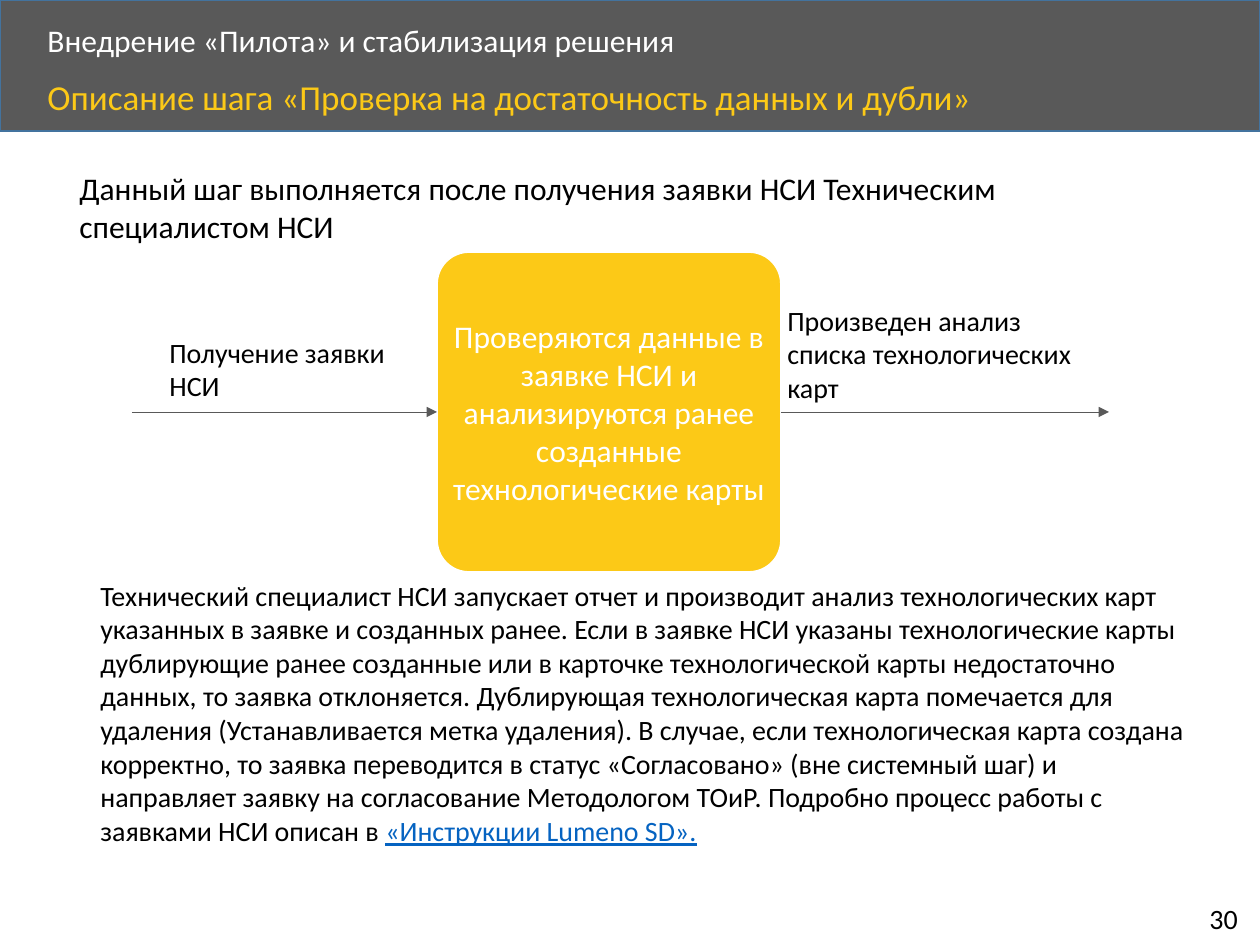
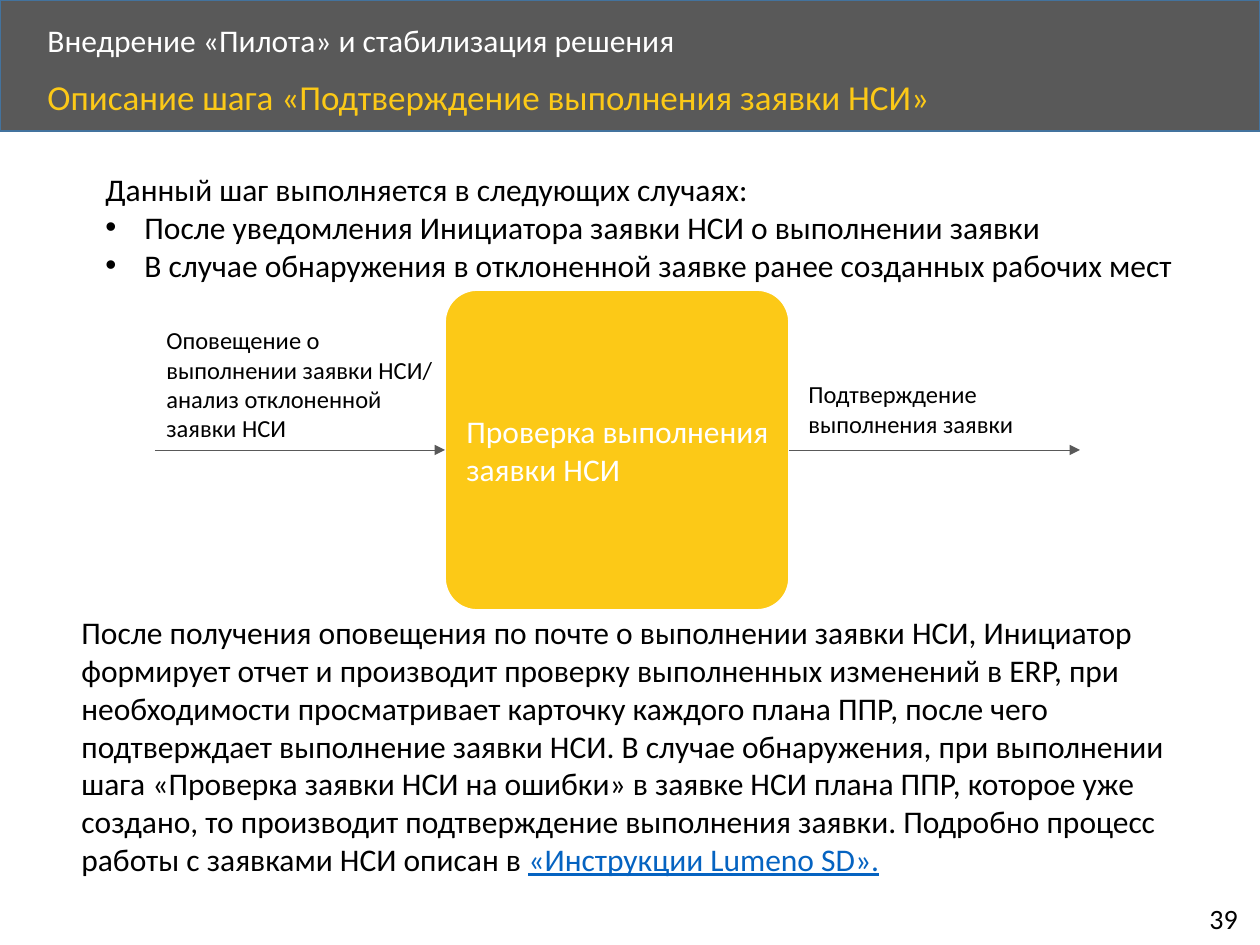
from dataclasses import dataclass

from lxml.etree import SubElement
from pptx import Presentation
from pptx.dml.color import RGBColor as Rgb
from pptx.enum.shapes import MSO_CONNECTOR as Conn, MSO_SHAPE as Shape
from pptx.enum.text import MSO_ANCHOR as Anchor, PP_ALIGN as Align
from pptx.oxml.ns import qn
from pptx.util import Pt


@dataclass(frozen=True)
class Theme:
    font: str = "Calibri"
    white: str = "FFFFFF"
    black: str = "000000"
    grey: str = "595959"
    gold: str = "FCC917"
    edge: str = "43739E"
    link: str = "0563C1"
    title: int = 20
    large: int = 18
    body: int = 16
    small: int = 14


T = Theme()
WIDE, HIGH = 1260, 945
BAND = 131
CARD = 344
GUIDE = "«Инструкции Lumeno SD»."


def px(n):
    return round(n * 914400 / 126)


def emu(*nums):
    return [px(n) for n in nums]


def add_run(par, words, size, color, line=False):
    run = par.add_run()
    run.text = words
    font = run.font
    font.name, font.size = T.font, Pt(size)
    font.color.rgb = Rgb.from_string(color)
    if line:
        font.underline = True


def add_dot(par):
    props = par._p.get_or_add_pPr()
    props.set("marL", str(px(39)))
    props.set("indent", str(px(-39)))
    SubElement(props, qn("a:buFont"), typeface="Arial")
    SubElement(props, qn("a:buChar"), char="•")


def add_text(slide, box, words, size=T.body, color=T.black, link="",
             dots=(), anchor=Anchor.TOP, wrap=True, space=None):
    frame = slide.shapes.add_textbox(*emu(*box)).text_frame
    frame.word_wrap, frame.vertical_anchor = wrap, anchor
    par = frame.paragraphs[0]
    if space:
        par.line_spacing = space
    add_run(par, words, size, color)
    if link:
        add_run(par, link, size, T.link, True)
    for dot in dots:
        par = frame.add_paragraph()
        add_dot(par)
        add_run(par, dot, size, color)


def add_block(slide, kind, box, fill, edge):
    block = slide.shapes.add_shape(kind, *emu(*box))
    block.shadow.inherit = False
    block.fill.solid()
    block.fill.fore_color.rgb = Rgb.from_string(fill)
    block.line.color.rgb = Rgb.from_string(edge)
    block.line.width = Pt(1)
    return block


def add_arrow(slide, left, right, y):
    line = slide.shapes.add_connector(Conn.STRAIGHT, *emu(left, y, right, y))
    line.line.color.rgb = Rgb.from_string(T.grey)
    line.line.width = Pt(0.5)
    SubElement(line.line._get_or_add_ln(), qn("a:tailEnd"), type="triangle")
    SubElement(line._element.spPr, qn("a:effectLst"))


# Band, section name, step title and page number
def add_frame(slide, title, page):
    add_block(slide, Shape.RECTANGLE, (0, 0, WIDE, BAND), T.grey, T.edge)
    add_text(slide, (35, 18, 1017, 48), "Внедрение «Пилота» и стабилизация решения",
             T.large, T.white, anchor=Anchor.MIDDLE, space=0.9)
    add_text(slide, (35, 74, 1092, 57), title, T.title, T.gold, space=0.9)
    add_text(slide, (WIDE - 63, HIGH - 50, 58, 47), page, wrap=False)


# Gold card with an arrow in and an arrow out
def add_flow(slide, box, lead, words, align, pad):
    x, y, w, h = box
    left, mid = x + lead, y + h // 2
    card = add_block(slide, Shape.ROUNDED_RECTANGLE, (left, y, CARD, h),
                     T.gold, T.white)
    card.adjustments[0] = 0.1
    frame = card.text_frame
    frame.word_wrap, frame.vertical_anchor = True, Anchor.MIDDLE
    frame.margin_left, frame.margin_right = emu(pad, 3)
    par = frame.paragraphs[0]
    par.alignment = align
    add_run(par, words, T.large, T.white)
    add_arrow(slide, x, left, mid)
    add_arrow(slide, left + CARD, x + w, mid)


# Labels over the arrows, placed from the flow's corner
def add_labels(slide, box, labels, size):
    for (dx, dy, w, h), words in labels:
        add_text(slide, (box[0] + dx, box[1] + dy, w, h), words, size)


def check_step(deck):
    slide = deck.slides.add_slide(deck.slide_layouts[6])
    add_frame(slide, "Описание шага «Проверка на достаточность данных и дубли»", "30")
    add_text(slide, (67, 163, 1119, 89),
             "Данный шаг выполняется после получения заявки НСИ Техническим "
             "специалистом НСИ", T.large)
    box = (132, 252, 977, 320)
    add_flow(slide, box, 305,
             "Проверяются данные в заявке НСИ и анализируются ранее созданные "
             "технологические карты", Align.CENTER, 3)
    add_labels(slide, box, [
        ((25, 77, 294, 81), "Получение заявки НСИ"),
        ((643, 45, 311, 115), "Произведен анализ списка технологических карт"),
    ], T.body)
    add_text(slide, (88, 572, 1119, 285),
             "Технический специалист НСИ запускает отчет и производит анализ "
             "технологических карт указанных в заявке и созданных ранее. Если в "
             "заявке НСИ указаны технологические карты дублирующие ранее созданные "
             "или в карточке технологической карты недостаточно данных, то заявка "
             "отклоняется. Дублирующая технологическая карта помечается для удаления "
             "(Устанавливается метка удаления). В случае, если технологическая карта "
             "создана корректно, то заявка переводится в статус «Согласовано» (вне "
             "системный шаг) и направляет заявку на согласование Методологом ТОиР. "
             "Подробно процесс работы c заявками НСИ описан в ", link=GUIDE)


def confirm_step(deck):
    slide = deck.slides.add_slide(deck.slide_layouts[6])
    add_frame(slide, "Описание шага «Подтверждение выполнения заявки НСИ»", "39")
    add_text(slide, (93, 164, 1103, 127),
             "Данный шаг выполняется в следующих случаях:", T.large, dots=(
                 "После уведомления Инициатора заявки НСИ о выполнении заявки",
                 "В случае обнаружения в отклоненной заявке ранее созданных "
                 "рабочих мест"))
    box = (155, 290, 925, 320)
    add_flow(slide, box, 290, "Проверка выполнения заявки НСИ", Align.LEFT, 12)
    add_labels(slide, box, [
        ((-1, 29, 291, 131), "Оповещение о выполнении заявки НСИ/ анализ "
                             "отклоненной заявки НСИ"),
        ((641, 83, 237, 72), "Подтверждение выполнения заявки"),
    ], T.small)
    add_text(slide, (69, 607, 1128, 318),
             "После получения оповещения по почте о выполнении заявки НСИ, "
             "Инициатор формирует отчет и производит проверку выполненных изменений "
             "в ERP, при необходимости просматривает карточку каждого плана ППР, "
             "после чего подтверждает выполнение заявки НСИ. В случае обнаружения, "
             "при выполнении шага «Проверка заявки НСИ на ошибки» в заявке НСИ плана "
             "ППР, которое уже создано, то производит подтверждение выполнения "
             "заявки. Подробно процесс работы c заявками НСИ описан в ",
             T.large, link=GUIDE)


def main():
    deck = Presentation()
    deck.slide_width, deck.slide_height = emu(WIDE, HIGH)
    check_step(deck)
    confirm_step(deck)
    deck.save("out.pptx")


if __name__ == "__main__":
    main()
